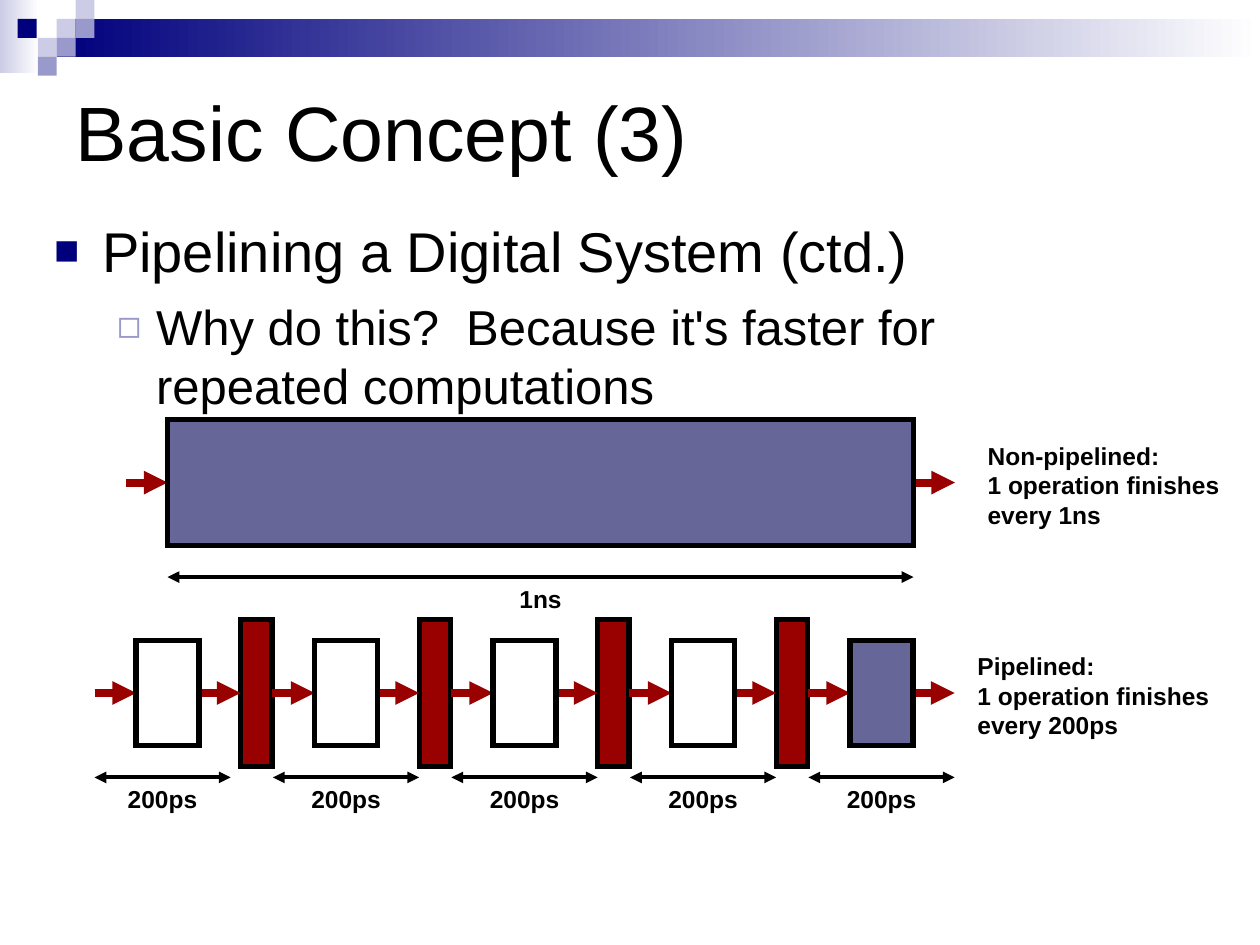
from lxml import etree
from pptx import Presentation
from pptx.dml.color import RGBColor
from pptx.enum.shapes import MSO_CONNECTOR, MSO_SHAPE
from pptx.enum.text import MSO_ANCHOR, MSO_AUTO_SIZE, PP_ALIGN
from pptx.oxml.ns import qn
from pptx.util import Inches, Pt

RECTANGLE = MSO_SHAPE.RECTANGLE
STRAIGHT = MSO_CONNECTOR.STRAIGHT
MIDDLE = MSO_ANCHOR.MIDDLE
NO_FIT, GROW = MSO_AUTO_SIZE.NONE, MSO_AUTO_SIZE.SHAPE_TO_FIT_TEXT
LEFT, CENTER = PP_ALIGN.LEFT, PP_ALIGN.CENTER
LEFT_SIDE, RIGHT_SIDE = 1, 3

FONT = "Arial"
BLACK, WHITE, NAVY = "000000", "FFFFFF", "00007D"
PALE, LAVENDER, SLATE, RED = "CCCCE6", "9999CC", "666699", "990000"

# Content
TITLE = "Basic Concept (3)"
# text, level, size, left margin, hanging indent, space before, bullet, its colour, its size
BULLETS = [
    ("Pipelining a Digital System (ctd.)", 0, 32, 0.38, 0.38, 0, "■", NAVY, 75),
    ("Why do this?  Because it's faster for repeated computations",
     1, 28, 0.81, 0.31, 7, "◻", LAVENDER, 80),
]
WHOLE_TIME = "1ns"
WHOLE_NOTE = "Non-pipelined:\n1 operation finishes\nevery 1ns"
STAGES = [("200ps", WHITE)] * 4 + [("200ps", SLATE)]
STAGE_NOTE = "Pipelined:\n1 operation finishes\nevery 200ps"

# Header decoration: left, top, width, height, colour
BANDS = [(0, 0, 0.31, 0.58, PALE), (0.45, 0.15, 9.55, 0.3, NAVY)]
TILE = 0.15
TILES = [(0.45, 0.15, PALE), (0.6, 0, PALE), (0.6, 0.15, LAVENDER), (0.3, 0.3, PALE),
         (0.14, 0.15, NAVY), (0.45, 0.3, LAVENDER), (0.3, 0.45, LAVENDER)]

# Diagram measures
ARROW = 0.33
STAGE_LEFT, STAGE_WIDTH, STAGE_HEIGHT = 1.08, 0.5, 0.83
REGISTER_WIDTH, REGISTER_HEIGHT = 0.25, 1.17
PITCH = STAGE_WIDTH + REGISTER_WIDTH + 2 / 3
WHOLE_LEFT, WHOLE_WIDTH, WHOLE_HEIGHT = 1.33, 5.92, 1
WHOLE_MIDDLE, STAGE_MIDDLE = 3.83, 5.5
WHOLE_SPAN_TOP, STAGE_SPAN_TOP = 4.58, 6.17
SPAN_LABEL_WIDTH = 0.75


def color(hex_string):
    return RGBColor.from_string(hex_string)


def style_font(font, size, bold=False):
    font.name = FONT
    font.size = Pt(size)
    font.bold = bold
    font.color.rgb = color(BLACK)


def add_box(left, top, width, height, fill, outlined=False):
    shape = slide.shapes.add_shape(
        RECTANGLE, Inches(left), Inches(top), Inches(width), Inches(height))
    shape.shadow.inherit = False
    if isinstance(fill, tuple):
        shape.fill.gradient()
        shape.fill.gradient_angle = 0
        for stop, stop_color in zip(shape.fill.gradient_stops, fill):
            stop.color.rgb = color(stop_color)
    else:
        shape.fill.solid()
        shape.fill.fore_color.rgb = color(fill)
    if outlined:
        shape.line.color.rgb = color(BLACK)
        shape.line.width = Pt(3)
        etree.SubElement(shape.line._get_or_add_ln(), qn("a:miter"), lim="800000")
    else:
        shape.line.fill.background()
    return shape


def add_arrow(start, end, y, line_color, width, both_ends=False):
    connector = slide.shapes.add_connector(
        STRAIGHT, Inches(start), Inches(y), Inches(end), Inches(y))
    connector.line.color.rgb = color(line_color)
    connector.line.width = Pt(width)
    line = connector.line._get_or_add_ln()
    for tag in ("a:headEnd", "a:tailEnd") if both_ends else ("a:tailEnd",):
        etree.SubElement(line, qn(tag), type="triangle")
    etree.SubElement(connector._element.spPr, qn("a:effectLst"))
    return connector


def add_label(text, left, top, width, height, alignment):
    box = slide.shapes.add_textbox(
        Inches(left), Inches(top), Inches(width), Inches(height))
    frame = box.text_frame
    frame.text = text
    frame.word_wrap = False
    frame.auto_size = GROW
    frame.vertical_anchor = MIDDLE
    for paragraph in frame.paragraphs:
        paragraph.alignment = alignment
        style_font(paragraph.font, 14, bold=True)


def add_block(left, middle, width, height, fill, before=None, after=None):
    """Draw a logic block with its arrows, joined to the neighbours given."""
    arrow_in = add_arrow(left - ARROW, left, middle, RED, 4.5)
    arrow_out = add_arrow(left + width, left + width + ARROW, middle, RED, 4.5)
    block = add_box(left, middle - height / 2, width, height, fill, outlined=True)
    arrow_in.end_connect(block, LEFT_SIDE)
    arrow_out.begin_connect(block, RIGHT_SIDE)
    if before:
        arrow_in.begin_connect(before, RIGHT_SIDE)
    if after:
        arrow_out.end_connect(after, LEFT_SIDE)


def add_span(text, start, end, y):
    add_arrow(start, end, y, BLACK, 2.25, both_ends=True)
    label_left = (start + end - SPAN_LABEL_WIDTH) / 2
    add_label(text, label_left, y, SPAN_LABEL_WIDTH, 0.34, CENTER)


def add_bullet(paragraph, text, level, size, margin, hanging, before, mark, mark_color, mark_size):
    paragraph.text = text
    paragraph.level = level
    paragraph.alignment = LEFT
    paragraph.space_before = Pt(before)
    properties = paragraph._p.get_or_add_pPr()
    properties.set("marL", str(Inches(margin)))
    properties.set("indent", str(-Inches(hanging)))
    bullet_color = etree.SubElement(properties, qn("a:buClr"))
    etree.SubElement(bullet_color, qn("a:srgbClr"), val=mark_color)
    etree.SubElement(properties, qn("a:buSzPct"), val=str(mark_size * 1000))
    etree.SubElement(properties, qn("a:buFont"), typeface=FONT)
    etree.SubElement(properties, qn("a:buChar"), char=mark)
    style_font(paragraph.font, size)


def place(shape, left, top, width, height):
    shape.left, shape.top = Inches(left), Inches(top)
    shape.width, shape.height = Inches(width), Inches(height)


presentation = Presentation()
presentation.slide_width, presentation.slide_height = Inches(10), Inches(7.5)
slide = presentation.slides.add_slide(presentation.slide_layouts[1])

# Header decoration
for left, top, width, height, start_color in BANDS:
    add_box(left, top, width, height, (start_color, WHITE))
for left, top, fill in TILES:
    add_box(left, top, TILE, TILE, fill)

# Title and bullets
title, body = slide.placeholders
place(title, 0.5, 0.5, 9, 1.08)
title.text_frame.text = TITLE
title.text_frame.vertical_anchor = MIDDLE
title.text_frame.paragraphs[0].alignment = LEFT
style_font(title.text_frame.paragraphs[0].font, 44)

place(body, 0.33, 1.67, 8.83, 5)
body.text_frame.auto_size = NO_FIT
for index, bullet in enumerate(BULLETS):
    frame = body.text_frame
    add_bullet(frame.add_paragraph() if index else frame.paragraphs[0], *bullet)

# Non-pipelined system
add_block(WHOLE_LEFT, WHOLE_MIDDLE, WHOLE_WIDTH, WHOLE_HEIGHT, SLATE)
add_span(WHOLE_TIME, WHOLE_LEFT, WHOLE_LEFT + WHOLE_WIDTH, WHOLE_SPAN_TOP)
add_label(WHOLE_NOTE, 7.74, 3.45, 2.04, 0.8, LEFT)

# Pipelined system: registers stand between neighbouring stages
stage_lefts = [STAGE_LEFT + index * PITCH for index in range(len(STAGES))]
registers = [
    add_box(left + STAGE_WIDTH + ARROW, STAGE_MIDDLE - REGISTER_HEIGHT / 2,
            REGISTER_WIDTH, REGISTER_HEIGHT, RED, outlined=True)
    for left in stage_lefts[:-1]
]
neighbours = zip([None] + registers, registers + [None])
for index, ((time, fill), left, (before, after)) in enumerate(
        zip(STAGES, stage_lefts, neighbours)):
    add_block(left, STAGE_MIDDLE, STAGE_WIDTH, STAGE_HEIGHT, fill, before, after)
    span_end = left + STAGE_WIDTH + (ARROW if index else 0.25)
    add_span(time, left - ARROW, span_end, STAGE_SPAN_TOP)
add_label(STAGE_NOTE, 7.66, 5.12, 2.04, 0.8, LEFT)

presentation.save("out.pptx")
